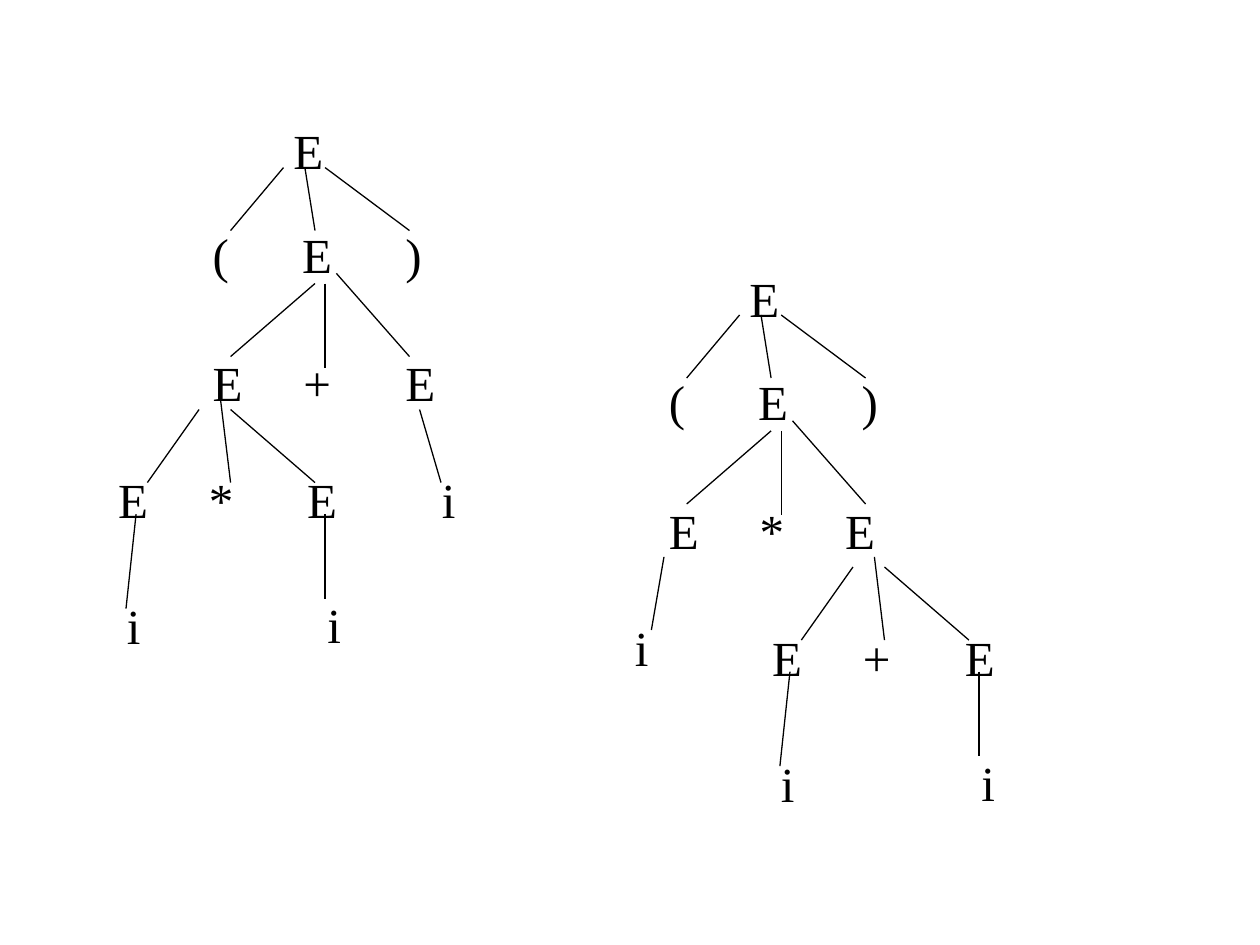
from lxml.etree import SubElement
from pptx import Presentation
from pptx.dml.color import RGBColor
from pptx.enum.shapes import MSO_CONNECTOR
from pptx.oxml.ns import qn
from pptx.util import Inches, Pt

INK = "000000"
TEXT_FORMAT = {"name": "Times New Roman", "size": Pt(28)}
INSET, ROW_HEIGHT = 0.1, 0.57

# Rows: (symbols, tab stops, left, top, width); branches: (x1, y1, x2, y2).
# Places are relative to the origin of each part.
HEAD_ROWS = [
    ("E", [], 0.64, 0, 0.44),
    ("( E )", [0.71, 1.53], 0, 0.82, 1.86),
]
HEAD_BRANCHES = [
    (0.66, 0.42, 0.24, 0.92), (0.83, 0.42, 0.91, 0.92), (0.99, 0.42, 1.66, 0.92),
    (0.91, 1.34, 0.24, 1.92), (0.99, 1.34, 0.99, 2.01), (1.08, 1.26, 1.66, 1.92),
]
INNER_ROWS = [
    ("i", [], 1.66, 0.99, 0.3),
    ("i", [], 0.07, 1, 0.3),
]
INNER_BRANCHES = [
    (0.74, -0.43, 0.33, 0.15), (0.91, -0.51, 0.99, 0.15), (0.99, -0.43, 1.66, 0.15),
    (0.24, 0.4, 0.16, 1.15), (1.74, 0.4, 1.74, 1.07),
]

TREES = [
    {
        "grouped": True,
        "head": (1.59, 0.91), "inner": (0.84, 3.68),
        "middle_row": ("E + E", [0.72, 1.53], 0, 1.84, 1.96),
        "inner_row": ("E * E", [0.72, 1.5], 0, 0, 1.93),
        "leaf": ("i", [], 3.41, 3.68, 0.3),
        "leaf_branch": (3.33, 3.25, 3.5, 3.83),
    },
    {
        "grouped": False,
        "head": (5.21, 2.08), "inner": (6.03, 4.93),
        "middle_row": ("E * E", [0.72, 1.4], 0, 1.84, 1.84),
        "inner_row": ("E + E", [0.72, 1.53], 0, 0, 1.96),
        "leaf": ("i", [], 4.94, 4.85, 0.3),
        "leaf_branch": (5.27, 4.42, 5.17, 5),
    },
]


def color(value):
    return RGBColor.from_string(value)


def add_row(shapes, origin, row):
    """Write the symbols of one tree level, spread over tab stops."""
    symbols, stops, left, top, width = row
    box = shapes.add_textbox(Inches(origin[0] + left), Inches(origin[1] + top),
                             Inches(width), Inches(ROW_HEIGHT))
    frame = box.text_frame
    frame.word_wrap = True
    frame.margin_left, frame.margin_right = Inches(INSET), 0
    para = frame.paragraphs[0]
    if stops:
        tab_list = SubElement(para._p.get_or_add_pPr(), qn("a:tabLst"))
        for stop in stops:
            SubElement(tab_list, qn("a:tab"), pos=str(Inches(stop)), algn="l")
    span = para.add_run()
    span.text = "\t".join(symbols.split())
    for name, value in TEXT_FORMAT.items():
        setattr(span.font, name, value)
    span.font.color.rgb = color(INK)


def add_branch(shapes, origin, branch):
    x, y = origin
    x1, y1, x2, y2 = branch
    line = shapes.add_connector(MSO_CONNECTOR.STRAIGHT, Inches(x + x1), Inches(y + y1),
                                Inches(x + x2), Inches(y + y2))
    line.line.color.rgb = color(INK)
    line.line.width = Pt(0.75)
    SubElement(line._element.spPr, qn("a:effectLst"))


def add_tree(page, tree):
    shapes = page.shapes.add_group_shape().shapes if tree["grouped"] else page.shapes
    parts = [
        (tree["head"], HEAD_ROWS + [tree["middle_row"]], HEAD_BRANCHES),
        (tree["inner"], [tree["inner_row"]] + INNER_ROWS, INNER_BRANCHES),
        ((0, 0), [tree["leaf"]], [tree["leaf_branch"]]),
    ]
    for origin, rows, _ in parts:
        for row in rows:
            add_row(shapes, origin, row)
    for origin, _, branches in parts:
        for branch in branches:
            add_branch(shapes, origin, branch)


def main():
    deck = Presentation()
    deck.slide_width, deck.slide_height = Inches(10), Inches(7.5)
    page = deck.slides.add_slide(deck.slide_layouts[6])
    for tree in TREES:
        add_tree(page, tree)
    deck.save("out.pptx")


if __name__ == "__main__":
    main()
